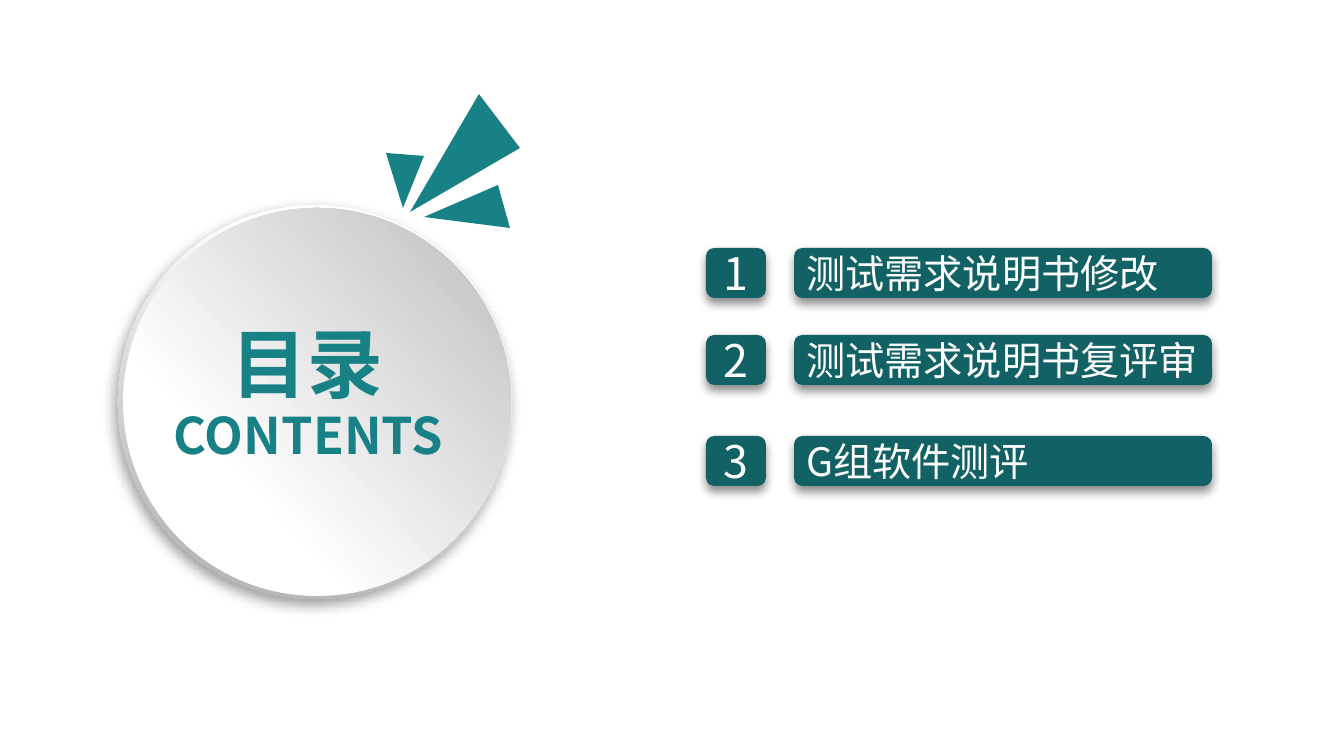
from dataclasses import dataclass

from lxml.etree import SubElement
from pptx import Presentation
from pptx.dml.color import RGBColor
from pptx.enum.shapes import MSO_SHAPE
from pptx.enum.text import MSO_ANCHOR, MSO_AUTO_SIZE, PP_ALIGN
from pptx.oxml.ns import qn
from pptx.util import Emu, Pt


@dataclass(frozen=True)
class Theme:
    font: str = "Noto Sans CJK SC"
    teal: str = "188186"
    dark_teal: str = "126165"
    white: str = "FFFFFF"
    rim_gray: str = "B8B8B8"
    face_gray: str = "BFBFBF"
    shadow: str = "000000"
    title_size: int = 54
    subtitle_size: int = 36
    number_size: int = 32
    item_size: int = 28


THEME = Theme()
EMU_PER_PIXEL = 914400 / 100.8
ITEMS = [(248, "测试需求说明书修改"), (335, "测试需求说明书复评审"), (436, "G组软件测评")]
RAYS = [
    [(410, 212), (479, 94), (520, 148)],
    [(424, 217), (498, 185), (510, 228)],
    [(403, 208), (386, 153), (424, 156)],
]


def px(value):
    return Emu(round(value * EMU_PER_PIXEL))


def write_text(shape, text, size, color, bold=False, align=PP_ALIGN.LEFT,
               anchor=MSO_ANCHOR.MIDDLE, wrap=True):
    frame = shape.text_frame
    frame.auto_size = MSO_AUTO_SIZE.NONE
    frame.word_wrap = wrap
    frame.vertical_anchor = anchor
    paragraph = frame.paragraphs[0]
    paragraph.alignment = align
    paragraph.line_spacing = 1.0
    run = paragraph.add_run()
    run.text = text
    run.font.name = THEME.font
    run.font.size = Pt(size)
    run.font.bold = bold
    run.font.color.rgb = RGBColor.from_string(color)
    SubElement(run.font._element, qn("a:ea"), typeface=THEME.font)


def fill_solid(shape, color):
    shape.fill.solid()
    shape.fill.fore_color.rgb = RGBColor.from_string(color)
    shape.line.fill.background()
    shape.shadow.inherit = False


def add_shadow(shape, opacity, blur, distance, direction):
    effects = shape._element.spPr.find(qn("a:effectLst"))
    shadow = SubElement(effects, qn("a:outerShdw"), blurRad=str(Pt(blur)),
                        dist=str(Pt(distance)), dir=str(direction * 60000),
                        algn="ctr", rotWithShape="0")
    color = SubElement(shadow, qn("a:srgbClr"), val=THEME.shadow)
    SubElement(color, qn("a:alpha"), val=str(opacity * 1000))


def add_disc(slide, left, top, width, height, stops, angle):
    disc = slide.shapes.add_shape(MSO_SHAPE.OVAL, px(left), px(top), px(width), px(height))
    disc.shadow.inherit = False
    disc.line.fill.background()
    disc.fill.gradient()
    disc.fill.gradient_angle = angle
    for stop, (position, color) in zip(disc.fill.gradient_stops, stops):
        stop.position = position
        stop.color.rgb = RGBColor.from_string(color)
    return disc


def add_ray(slide, points):
    start, *others = [(px(x), px(y)) for x, y in points]
    builder = slide.shapes.build_freeform(*start)
    builder.add_line_segments(others, close=True)
    fill_solid(builder.convert_to_shape(), THEME.teal)


def add_bar(slide, left, top, width, text, size, **text_format):
    bar = slide.shapes.add_shape(MSO_SHAPE.ROUNDED_RECTANGLE,
                                 px(left), px(top), px(width), px(50))
    fill_solid(bar, THEME.dark_teal)
    add_shadow(bar, 46, 7, 4, 90)
    write_text(bar, text, size, THEME.white, **text_format)


def place_title(slide, text):
    title = slide.shapes.title
    title.left, title.top, title.width, title.height = px(143), px(312), px(329), px(102)
    write_text(title, text, THEME.title_size, THEME.teal, bold=True,
               align=PP_ALIGN.CENTER, anchor=MSO_ANCHOR.TOP)
    title._element.getparent().append(title._element)


def add_subtitle(slide, text):
    subtitle = slide.shapes.add_textbox(px(144), px(399), px(329), px(72))
    write_text(subtitle, text, THEME.subtitle_size, THEME.teal, bold=True,
               align=PP_ALIGN.CENTER, anchor=MSO_ANCHOR.TOP)


def main():
    presentation = Presentation()
    presentation.slide_width, presentation.slide_height = px(1344), px(756)
    slide = presentation.slides.add_slide(presentation.slide_layouts[5])

    rim = add_disc(slide, 118, 205, 394, 394,
                   [(0.17, THEME.white), (0.88, THEME.rim_gray)], 253)
    add_shadow(rim, 39, 10, 5, 123)
    add_disc(slide, 123, 208, 388, 388,
             [(0.29, THEME.white), (0.98, THEME.face_gray)], 42)
    for points in RAYS:
        add_ray(slide, points)
    add_subtitle(slide, "CONTENTS")
    place_title(slide, "目录")

    for number, (top, text) in enumerate(ITEMS, start=1):
        add_bar(slide, 706, top, 60, str(number), THEME.number_size,
                align=PP_ALIGN.CENTER, wrap=False)
        add_bar(slide, 794, top, 418, text, THEME.item_size)

    presentation.save("out.pptx")


main()
